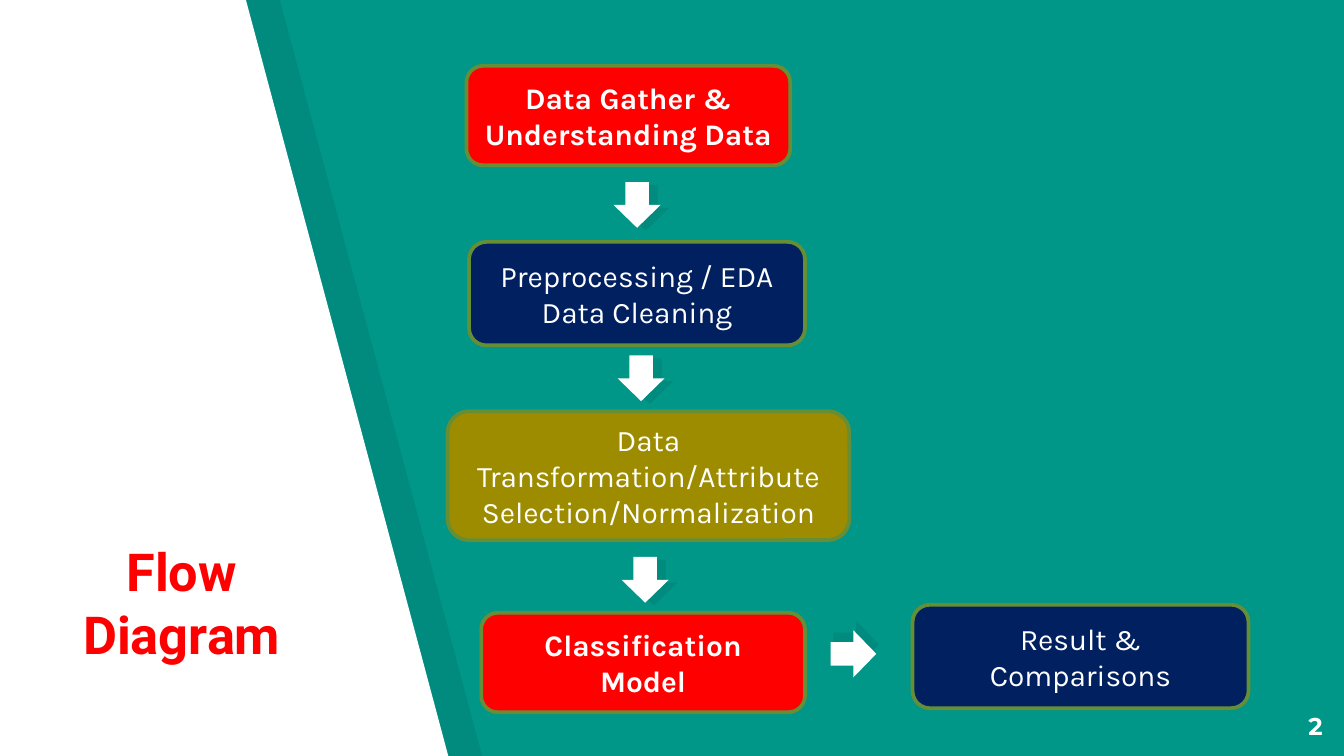
from typing import NamedTuple

from lxml.etree import SubElement
from pptx import Presentation
from pptx.dml.color import RGBColor
from pptx.enum.shapes import MSO_SHAPE
from pptx.enum.text import MSO_ANCHOR, MSO_AUTO_SIZE, PP_ALIGN
from pptx.oxml.ns import qn
from pptx.util import Inches, Pt

CELL = Inches(0.1)
COLUMNS, ROWS = 100, 56.25
TEAL, WHITE, BLACK = "009688", "FFFFFF", "000000"
RED, NAVY, OLIVE, OUTLINE = "FF0000", "002060", "9D8C00", "658E36"


class Box(NamedTuple):
    """An area in grid columns and rows."""
    left: float
    top: float
    width: float
    height: float

    def shifted(self, across, down):
        """Return the box moved by shares of its own size."""
        return self._replace(left=self.left + across * self.width,
                             top=self.top + down * self.height)

    def emu(self):
        """Return left, top, width and height in slide units."""
        return [round(length * CELL) for length in self]


def paint(fill, colour, opacity=100):
    """Fill with a hex colour at a percentage of opacity."""
    fill.solid()
    fill.fore_color.rgb = RGBColor.from_string(colour)
    if opacity < 100:
        for solid in fill._xPr.iter(qn("a:srgbClr")):
            SubElement(solid, qn("a:alpha")).set("val", str(opacity * 1000))


def write(frame, paragraphs, font, size, colour, bold=False,
          align=PP_ALIGN.CENTER, anchor=MSO_ANCHOR.MIDDLE, padding=0.05):
    """Write paragraphs, each a list of lines, into a text frame."""
    frame.word_wrap = True
    frame.auto_size = MSO_AUTO_SIZE.NONE
    frame.vertical_anchor = anchor
    frame.margin_left = frame.margin_right = Inches(0.1)
    frame.margin_top = frame.margin_bottom = Inches(padding)
    for position, lines in enumerate(paragraphs):
        paragraph = frame.add_paragraph() if position else frame.paragraphs[0]
        paragraph.alignment = align
        for number, line in enumerate(lines):
            if number:
                paragraph.add_line_break()
            run = paragraph.add_run()
            run.text = line
            run.font.name, run.font.size, run.font.bold = font, Pt(size), bold
            run.font.color.rgb = RGBColor.from_string(colour)


def add_wedge(slide, box, colour, opacity=100):
    """Draw a side panel with a slanted right edge."""
    left, top, width, height = box.emu()
    corners = [(left + round(across * width), top + round(down * height))
               for across, down in ((0, 0), (0, 1), (1, 1), (0.55, 0))]
    builder = slide.shapes.build_freeform(*corners[0], scale=1.0)
    builder.add_line_segments(corners[1:], close=True)
    wedge = builder.convert_to_shape()
    wedge.shadow.inherit = False
    wedge.line.fill.background()
    paint(wedge.fill, colour, opacity)


def add_side_panel(slide, box):
    """Draw the white panel over its shade, with the title in front."""
    add_wedge(slide, box.shifted(0.075, 0), BLACK, 7)
    add_wedge(slide, box, WHITE)
    title = slide.shapes.title
    title.left, title.top, title.width, title.height = Box(
        box.left - 0.9, box.top + 0.605 * box.height,
        0.87 * box.width, 0.29 * box.height).emu()
    write(title.text_frame, [["Flow", "Diagram"]], "Roboto", 28, RED, True,
          anchor=MSO_ANCHOR.BOTTOM, padding=0.1)
    title.element.getparent().append(title.element)


def add_step(slide, box, paragraphs, colour, bold=False):
    """Draw one rounded step of the flow."""
    step = slide.shapes.add_shape(MSO_SHAPE.ROUNDED_RECTANGLE, *box.emu())
    step.shadow.inherit = False
    paint(step.fill, colour)
    paint(step.line.fill, OUTLINE)
    step.line.width = Pt(2)
    write(step.text_frame, paragraphs, "Karla", 16, WHITE, bold)


def add_arrow(slide, box, rotation, shade_shift):
    """Draw a white block arrow over its shade."""
    layers = ((box.shifted(*shade_shift), BLACK, 7), (box, WHITE, 100))
    for area, colour, opacity in layers:
        arrow = slide.shapes.add_shape(MSO_SHAPE.RIGHT_ARROW, *area.emu())
        arrow.shadow.inherit = False
        arrow.rotation = rotation
        arrow.line.fill.background()
        paint(arrow.fill, colour, opacity)


def add_flow(slide, box):
    """Place the steps and the arrows between them."""
    steps = (
        (1.4, 0, 24.1, 7.4, [["Data Gather & Understanding Data"]], RED, True),
        (1.6, 13.1, 25, 7.7, [["Preprocessing / EDA"], ["Data Cleaning"]], NAVY, False),
        (0, 25.7, 29.9, 9.6,
         [["Data Transformation/Attribute Selection/Normalization"]], OLIVE, False),
        (2.5, 40.7, 24.1, 7.4, [["Classification Model"]], RED, True),
        (34.6, 40.1, 25, 7.7, [["Result & Comparisons"]], NAVY, False),
    )
    for column, row, width, height, paragraphs, colour, bold in steps:
        area = Box(box.left + column, box.top + row, width, height)
        add_step(slide, area, paragraphs, colour, bold)
    down, across = (90, (0.19, 0.06)), (0, (0.06, -0.2))
    arrows = ((12.4, 8.6, down), (12.7, 21.5, down), (13, 36.5, down),
              (28.5, 42, across))
    for column, row, direction in arrows:
        area = Box(box.left + column, box.top + row, 3.4, 3.5)
        add_arrow(slide, area, *direction)


def add_page_number(slide, box):
    """Write the page number in the corner."""
    number = slide.shapes.add_textbox(*box.emu())
    write(number.text_frame, [["2"]], "Montserrat", 13, WHITE, True,
          PP_ALIGN.RIGHT, MSO_ANCHOR.TOP, 0.1)


def main():
    """Build and save the slide."""
    deck = Presentation()
    deck.slide_width = round(COLUMNS * CELL)
    deck.slide_height = round(ROWS * CELL)
    slide = deck.slides.add_slide(deck.slide_layouts[5])
    paint(slide.background.fill, TEAL)
    add_side_panel(slide, Box(-0.2, -0.1, 33.6, 56.5))
    add_flow(slide, Box(33.3, 4.9, 59.6, 48.1))
    add_page_number(slide, Box(93.4, 51.9, 6, 4.3))
    deck.save("out.pptx")


if __name__ == "__main__":
    main()
